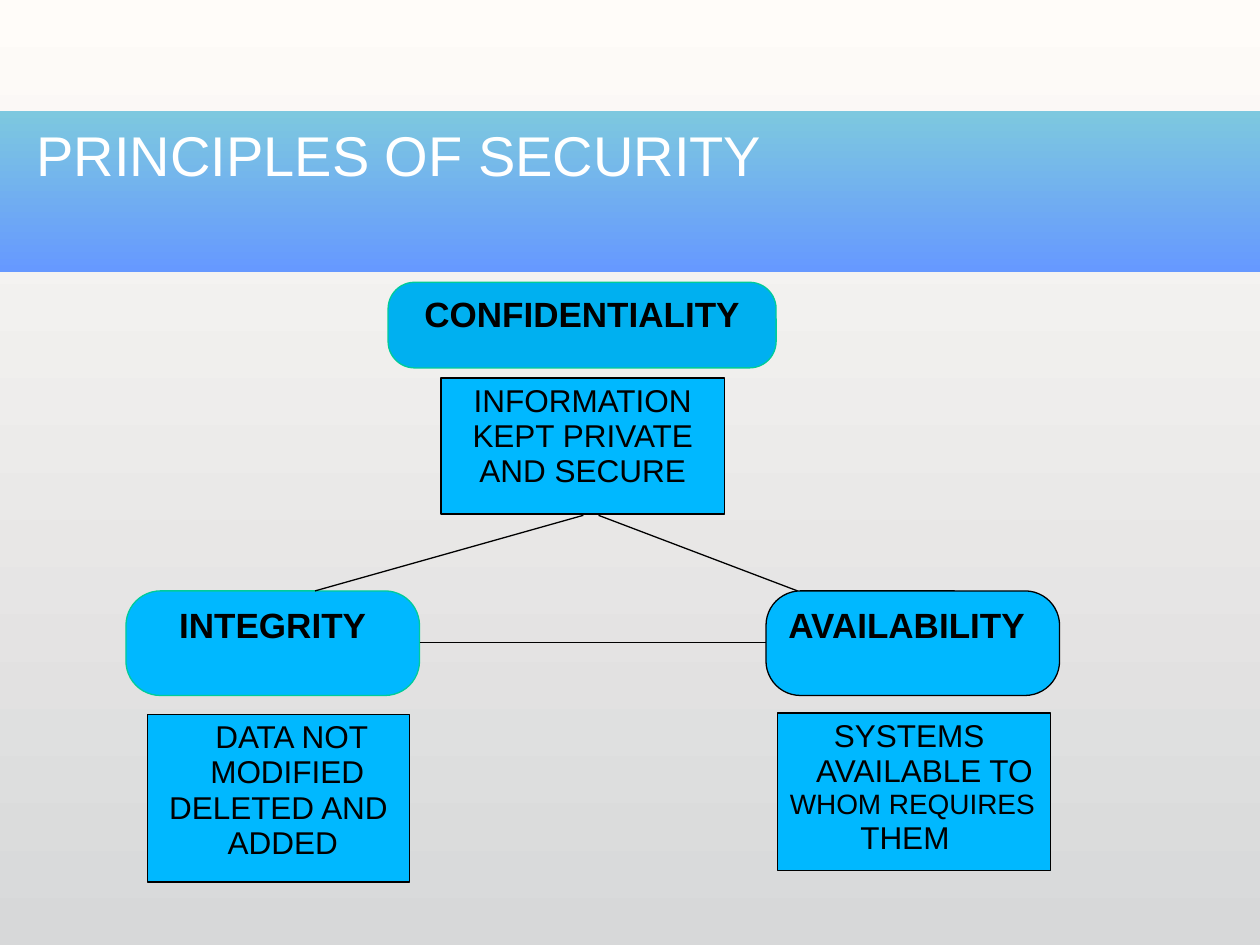
from dataclasses import dataclass

from lxml import etree
from pptx import Presentation
from pptx.dml.color import RGBColor
from pptx.enum.shapes import MSO_CONNECTOR, MSO_SHAPE
from pptx.enum.text import MSO_ANCHOR, MSO_AUTO_SIZE, PP_ALIGN
from pptx.oxml.ns import qn
from pptx.util import Inches, Pt


@dataclass(frozen=True)
class Theme:
    font: str = "Arial"
    background: tuple = ("FFFCF9", "D7D8D9")
    band: tuple = ("7DC8DF", "6699FF")
    title_color: str = "FFFFFF"
    text_color: str = "000000"
    sky: str = "00B8FF"
    deep_sky: str = "00B0F0"
    green: str = "00CC99"
    black: str = "000000"
    title_size: int = 32
    heading_size: int = 20
    body_size: int = 18
    small_size: int = 16
    line_width: float = 0.75
    line_spacing: float = 0.93


THEME = Theme()


def inches(box):
    return [Inches(value) for value in box]


def fill_gradient(fill, colors):
    """Blend two colours from top to bottom."""
    fill.gradient()
    fill.gradient_angle = 270
    for stop, color in zip(fill.gradient_stops, colors):
        stop.color.rgb = RGBColor.from_string(color)


def add_run(paragraph, text, size, color, bold=False):
    run = paragraph.add_run()
    run.text = text
    run.font.name = THEME.font
    run.font.size = Pt(size)
    run.font.bold = bold
    run.font.color.rgb = RGBColor.from_string(color)


def add_title_band(slide, box, text):
    """Full-width gradient band with the title near its top."""
    left, top, width, height = box
    band = slide.shapes.add_shape(MSO_SHAPE.RECTANGLE, *inches(box))
    band.shadow.inherit = False
    fill_gradient(band.fill, THEME.band)
    band.line.fill.background()

    title = slide.shapes.title
    title.left, title.top, title.width, title.height = inches(
        (left + 0.19, top + 0.03, 7.06, 0.62))
    title._element.addprevious(band._element)  # band behind title
    frame = title.text_frame
    frame.auto_size = MSO_AUTO_SIZE.NONE
    frame.vertical_anchor = MSO_ANCHOR.TOP
    paragraph = frame.paragraphs[0]
    paragraph.alignment = PP_ALIGN.LEFT
    add_run(paragraph, text, THEME.title_size, THEME.title_color)


def add_box(slide, kind, box, fill, line, lines, alignment, bold=False):
    """Filled box; each line is (text, size, left indent in inches)."""
    shape = slide.shapes.add_shape(kind, *inches(box))
    shape.shadow.inherit = False
    shape.fill.solid()
    shape.fill.fore_color.rgb = RGBColor.from_string(fill)
    shape.line.color.rgb = RGBColor.from_string(line)
    shape.line.width = Pt(THEME.line_width)
    frame = shape.text_frame
    frame.word_wrap = True
    frame.vertical_anchor = MSO_ANCHOR.TOP
    for index, (text, size, indent) in enumerate(lines):
        paragraph = frame.add_paragraph() if index else frame.paragraphs[0]
        paragraph.alignment = alignment
        paragraph.line_spacing = THEME.line_spacing
        if indent:
            paragraph._p.get_or_add_pPr().set("marL", str(Inches(indent)))
        add_run(paragraph, text, size, THEME.text_color, bold)
    return shape


def add_principle(slide, heading_box, heading, body_box, lines, corner,
                  fill=THEME.sky, line=THEME.green, alignment=PP_ALIGN.CENTER):
    """Rounded heading with its explanation box below."""
    rounded = add_box(slide, MSO_SHAPE.ROUNDED_RECTANGLE, heading_box, fill,
                      line, [(heading, THEME.heading_size, 0)], alignment, True)
    rounded.adjustments[0] = corner
    add_box(slide, MSO_SHAPE.RECTANGLE, body_box, THEME.sky, THEME.black,
            lines, alignment)


def add_link(slide, start, end):
    connector = slide.shapes.add_connector(
        MSO_CONNECTOR.STRAIGHT, *inches(start + end))
    connector.line.color.rgb = RGBColor.from_string(THEME.black)
    connector.line.width = Pt(THEME.line_width)
    etree.SubElement(connector._element.spPr, qn("a:effectLst"))


def add_triangle(slide):
    """Three principles joined in a triangle."""
    size, small = THEME.body_size, THEME.small_size
    add_principle(
        slide, (3.08, 2.24, 3.08, 0.68), "CONFIDENTIALITY",
        (3.5, 3, 2.25, 1.08),
        [("INFORMATION", size, 0), ("KEPT PRIVATE", size, 0),
         ("AND SECURE", size, 0)],
        0.31, fill=THEME.deep_sky)
    add_principle(
        slide, (1, 4.69, 2.33, 0.83), "INTEGRITY",
        (1.17, 5.67, 2.08, 1.33),
        [("DATA NOT", size, 0.21), ("MODIFIED", size, 0.14),
         ("DELETED AND", size, 0), ("ADDED", size, 0.07)],
        0.33)
    add_principle(
        slide, (6.08, 4.69, 2.33, 0.83), "AVAILABILITY",
        (6.17, 5.66, 2.17, 1.25),
        [("SYSTEMS", size, 0.35), ("AVAILABLE TO", size, 0.21),
         ("WHOM REQUIRES", small, 0), ("THEM", size, 0.56)],
        0.33, line=THEME.black, alignment=PP_ALIGN.LEFT)

    # Sides of the triangle
    add_link(slide, (4.75, 4.09), (6.33, 4.69))
    add_link(slide, (4.63, 4.09), (2.5, 4.69))
    add_link(slide, (3.33, 5.1), (6.08, 5.1))


def main():
    presentation = Presentation()
    presentation.slide_width = Inches(10)
    presentation.slide_height = Inches(7.5)
    slide = presentation.slides.add_slide(presentation.slide_layouts[5])
    fill_gradient(slide.background.fill, THEME.background)
    add_title_band(slide, (0, 0.88, 10, 1.28), "PRINCIPLES OF SECURITY")
    add_triangle(slide)
    presentation.save("out.pptx")


if __name__ == "__main__":
    main()
